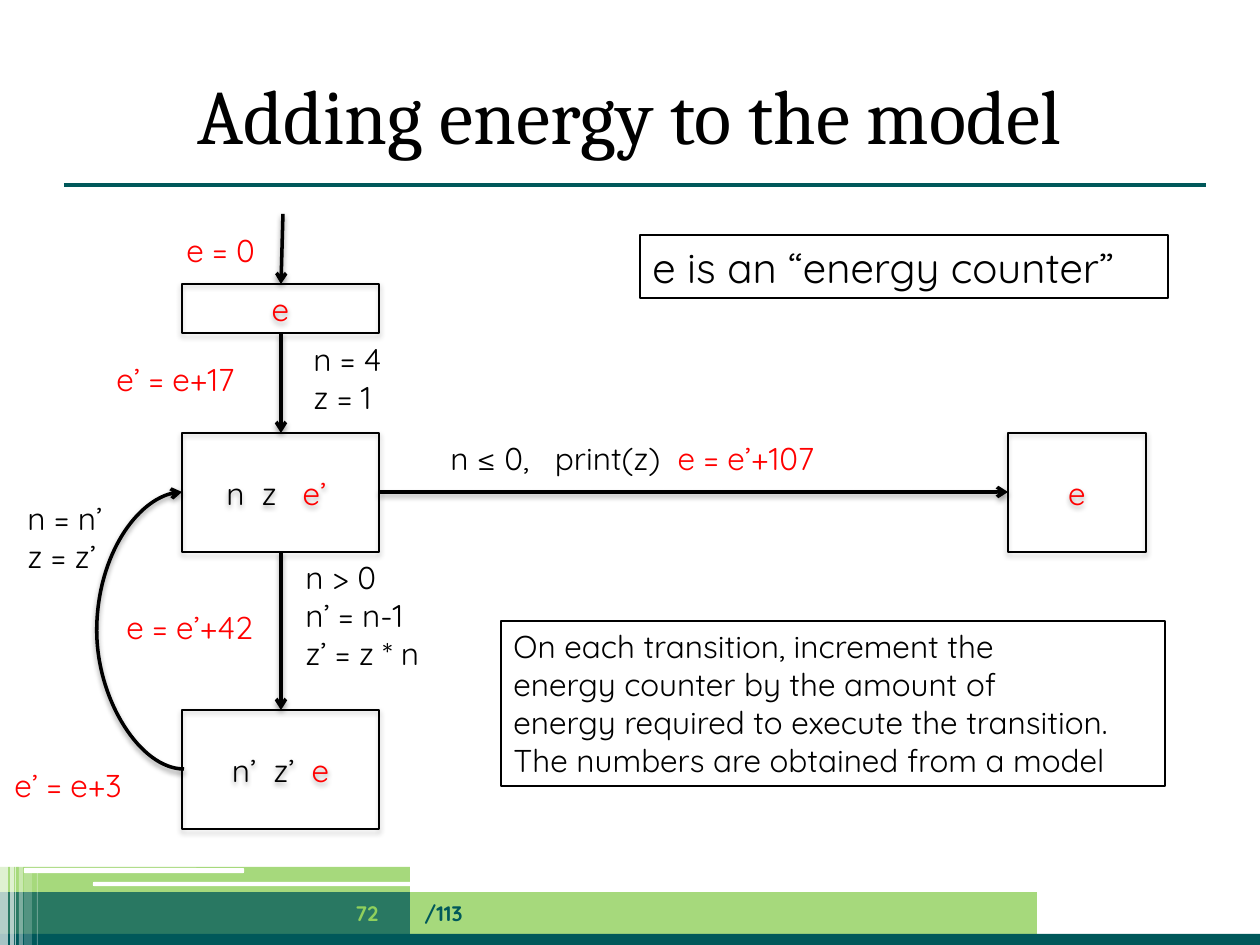
from lxml.etree import SubElement
from pptx import Presentation
from pptx.dml.color import RGBColor
from pptx.enum.shapes import MSO_CONNECTOR, MSO_SHAPE
from pptx.enum.text import MSO_ANCHOR, MSO_AUTO_SIZE, PP_ALIGN
from pptx.oxml.ns import qn
from pptx.util import Emu, Pt

BLACK = RGBColor(0x00, 0x00, 0x00)
WHITE = RGBColor(0xFF, 0xFF, 0xFF)
RED = RGBColor(0xFF, 0x00, 0x00)
TEAL = RGBColor(0x00, 0x58, 0x5A)
GREEN = RGBColor(0x90, 0xD0, 0x5C)
BODY_FONT = "Quicksand"
TITLE_FONT = "Cambria"
PX_PER_INCH = 126

STATE_LEFT, STATE_WIDTH, STATE_HEIGHT = 182, 197, 119
STATE_CENTER = 281
START_TOP, START_HEIGHT = 284, 49
LOOP_TOP, NEXT_TOP = 433, 710
EXIT_LEFT, EXIT_WIDTH = 1008, 138


def px(length):
    return Emu(round(length * 914400 / PX_PER_INCH))


def add_run(para, text, color, size=18, font=BODY_FONT, bold=False):
    run = para.add_run()
    run.text = text
    run.font.name = font
    run.font.size = Pt(size)
    run.font.bold = bold
    run.font.color.rgb = color


def add_shadow(properties, distance, opacity):
    """Give a shape or connector a soft shadow straight below it."""
    effects = SubElement(properties, qn("a:effectLst"))
    shadow = SubElement(effects, qn("a:outerShdw"), blurRad="40000",
                        dist=str(distance), dir="5400000", rotWithShape="0")
    color = SubElement(shadow, qn("a:srgbClr"), val=str(BLACK))
    SubElement(color, qn("a:alpha"), val=str(opacity * 1000))


def add_band(slide, left, top, width, height, color, opacity=100,
             kind=MSO_SHAPE.RECTANGLE):
    band = slide.shapes.add_shape(kind, px(left), px(top), px(width), px(height))
    band.shadow.inherit = False
    band.line.fill.background()
    band.fill.solid()
    band.fill.fore_color.rgb = color
    if opacity < 100:
        fill_color = band.fill._xPr.find(qn("a:solidFill"))[0]
        SubElement(fill_color, qn("a:alpha"), val=str(opacity * 1000))


def add_state(slide, left, top, width, height, spans):
    box = slide.shapes.add_shape(MSO_SHAPE.RECTANGLE, px(left), px(top),
                                 px(width), px(height))
    box.fill.background()
    box.line.color.rgb = BLACK
    box.line.width = Pt(0.75)
    add_shadow(box._element.spPr, 23000, 35)
    box.text_frame.vertical_anchor = MSO_ANCHOR.MIDDLE
    para = box.text_frame.paragraphs[0]
    para.alignment = PP_ALIGN.CENTER
    for text, color in spans:
        add_run(para, text, color)


def add_label(slide, left, top, width, height, lines, size=18, framed=False):
    """Add unwrapped text; each line is a list of (text, color) spans."""
    box = slide.shapes.add_textbox(px(left), px(top), px(width), px(height))
    frame = box.text_frame
    frame.word_wrap = False
    frame.auto_size = MSO_AUTO_SIZE.SHAPE_TO_FIT_TEXT
    if framed:
        box.line.color.rgb = BLACK
        box.line.width = Pt(0.75)
    for index, spans in enumerate(lines):
        para = frame.add_paragraph() if index else frame.paragraphs[0]
        for text, color in spans:
            add_run(para, text, color, size)


def add_footer_text(slide, left, width, text, color, alignment):
    box = slide.shapes.add_textbox(px(left), px(888), px(width), px(50))
    box.text_frame.word_wrap = True
    box.text_frame.vertical_anchor = MSO_ANCHOR.MIDDLE
    para = box.text_frame.paragraphs[0]
    para.alignment = alignment
    add_run(para, text, color, 12, bold=True)


def add_line(slide, begin, end, color, weight, kind=MSO_CONNECTOR.STRAIGHT):
    line = slide.shapes.add_connector(kind, *map(px, begin + end))
    line.line.color.rgb = color
    line.line.width = Pt(weight)
    return line


def add_arrow(slide, begin, end, kind=MSO_CONNECTOR.STRAIGHT):
    arrow = add_line(slide, begin, end, BLACK, 2, kind)
    SubElement(arrow.line._get_or_add_ln(), qn("a:tailEnd"), type="arrow")
    add_shadow(arrow._element.spPr, 20000, 38)
    return arrow


def add_back_arrow(slide, top_end, bottom_start, bulge_left):
    """Curve from the lower state up to the upper one, bulging left."""
    arrow = add_arrow(slide, top_end, bottom_start, MSO_CONNECTOR.CURVE)
    arrow._element.spPr.find(qn("a:xfrm")).set("rot", "10800000")
    bulge = (bottom_start[0] - bulge_left) / (bottom_start[0] - top_end[0])
    geometry = arrow._element.spPr.find(qn("a:prstGeom"))
    guides = geometry.find(qn("a:avLst"))
    if guides is None:
        guides = SubElement(geometry, qn("a:avLst"))
    SubElement(guides, qn("a:gd"), name="adj1", fmla=f"val {round(bulge * 100000)}")


def add_footer(slide):
    add_band(slide, 0, 892, 1037, 42, GREEN, 80)
    add_band(slide, 0, 934, 1260, 11, TEAL)
    add_band(slide, 0, 892, 410, 42, TEAL, 75)
    add_band(slide, 0, 867, 410, 25, GREEN, 80)
    for left, top, width, height in ((93, 882, 422, 4), (24, 868, 220, 5)):
        add_band(slide, left, top, width, height, WHITE,
                 kind=MSO_SHAPE.ROUNDED_RECTANGLE)
    for left, top, width, opacity in ((0, 864, 8, 65), (10, 864, 4, 65),
                                      (15, 864, 1, 60), (19, 864, 4, 40),
                                      (24, 869, 8, 20), (37, 869, 1, 30)):
        add_band(slide, left, top, width, 945 - top, WHITE, opacity)
    add_footer_text(slide, 412, 625, "/113", TEAL, PP_ALIGN.LEFT)
    add_footer_text(slide, 323, 88, "72", GREEN, PP_ALIGN.CENTER)


def add_title(slide, text):
    title = slide.shapes.title
    title.left, title.top, title.width, title.height = map(px, (63, 55, 1134, 118))
    title.text_frame.vertical_anchor = MSO_ANCHOR.MIDDLE
    para = title.text_frame.paragraphs[0]
    para.alignment = PP_ALIGN.CENTER
    add_run(para, text, BLACK, 44, TITLE_FONT)
    add_line(slide, (64, 185), (1206, 185), TEAL, 2.25)._element.spPr.append(
        title._element.makeelement(qn("a:effectLst")))


def add_state_machine(slide):
    column = STATE_LEFT, STATE_WIDTH
    for (left, width), top, height, spans in (
            (column, START_TOP, START_HEIGHT, [("e", RED)]),
            (column, LOOP_TOP, STATE_HEIGHT, [("n  z   ", BLACK), ("e’ ", RED)]),
            (column, NEXT_TOP, STATE_HEIGHT, [("n’  z’  ", BLACK), ("e", RED)]),
            ((EXIT_LEFT, EXIT_WIDTH), LOOP_TOP, STATE_HEIGHT, [("e", RED)])):
        add_state(slide, left, top, width, height, spans)

    loop_middle = LOOP_TOP + STATE_HEIGHT // 2
    next_middle = NEXT_TOP + STATE_HEIGHT // 2
    add_arrow(slide, (STATE_CENTER + 2, 214), (STATE_CENTER, START_TOP))
    add_arrow(slide, (STATE_CENTER, START_TOP + START_HEIGHT), (STATE_CENTER, LOOP_TOP))
    add_arrow(slide, (STATE_CENTER, LOOP_TOP + STATE_HEIGHT), (STATE_CENTER, NEXT_TOP))
    add_arrow(slide, (STATE_LEFT + STATE_WIDTH, loop_middle), (EXIT_LEFT, loop_middle))
    add_back_arrow(slide, (STATE_LEFT, loop_middle), (STATE_LEFT + 2, next_middle), 96)


def add_transition_labels(slide):
    for left, top, width, lines in (
            (301, 334, 98, ["n = 4", "z = 1"]),
            (293, 552, 151, ["n > 0", "n’ = n-1", "z’ = z * n"]),
            (15, 493, 111, ["n = n’", "z = z’"])):
        add_label(slide, left, top, width, 12 + 38 * len(lines),
                  [[(line, BLACK)] for line in lines])
    for left, top, width, text in ((174, 225, 101, "e = 0"),
                                   (104, 354, 169, "e’ = e+17"),
                                   (114, 602, 169, "e = e’+42"),
                                   (2, 760, 151, "e’ = e+3")):
        add_label(slide, left, top, width, 50, [[(text, RED)]])
    add_label(slide, 438, 433, 417, 50,
              [[("n ≤ 0,   print(z)", BLACK), ("  e = e’+107", RED)]])


def add_notes_on_energy(slide):
    add_label(slide, 640, 235, 528, 63, [[("e is an “energy counter”", BLACK)]],
              size=24, framed=True)
    explanation = ("On each transition, increment the",
                   "energy counter by the amount of",
                   "energy required to execute the transition.",
                   "The numbers are obtained from a model")
    add_label(slide, 501, 621, 664, 165,
              [[(line, BLACK)] for line in explanation], framed=True)


def main():
    deck = Presentation()
    deck.slide_width, deck.slide_height = px(1260), px(945)
    slide = deck.slides.add_slide(deck.slide_layouts[5])
    add_footer(slide)
    add_title(slide, "Adding energy to the model")
    add_state_machine(slide)
    add_transition_labels(slide)
    add_notes_on_energy(slide)
    deck.save("out.pptx")


if __name__ == "__main__":
    main()
